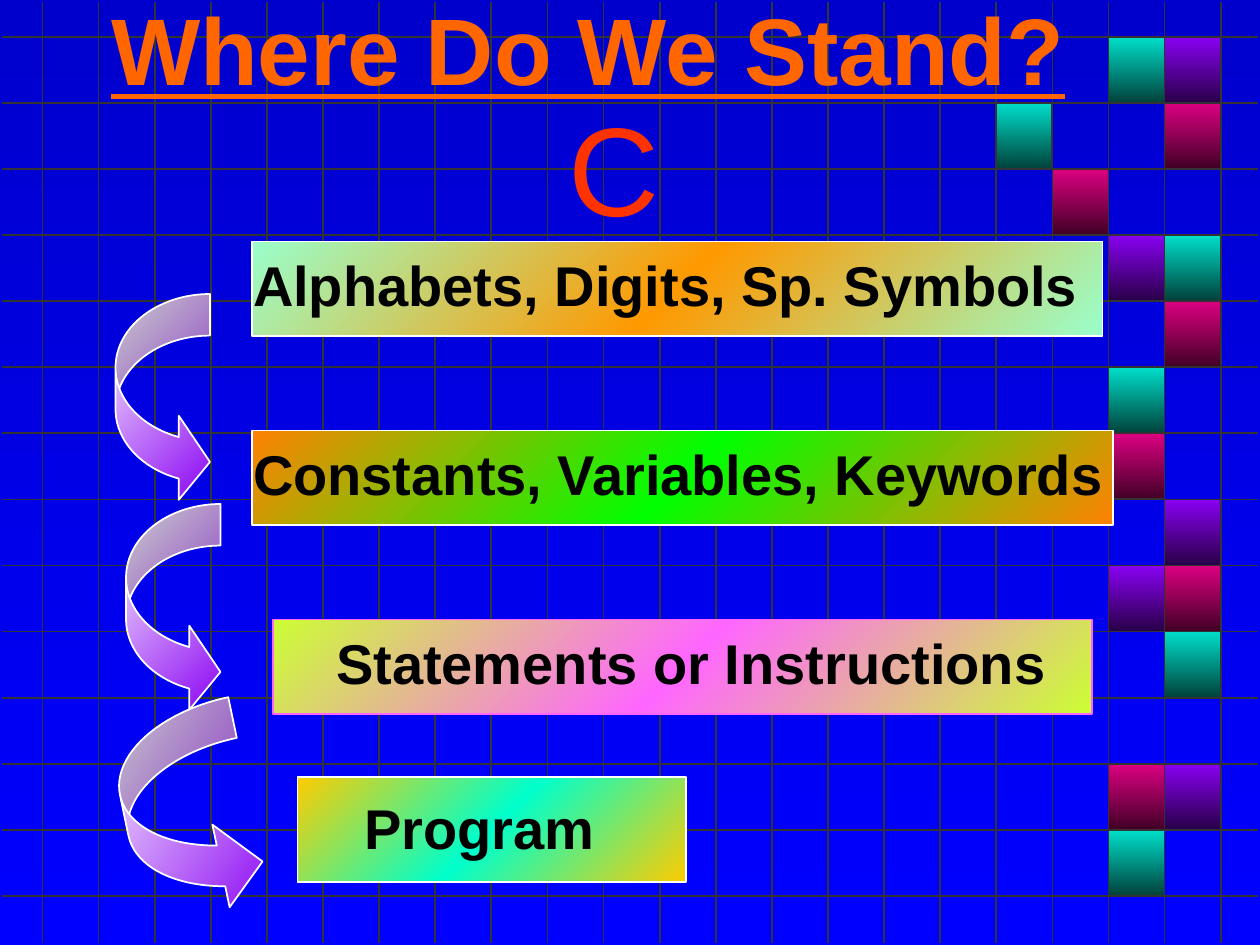
import copy
from dataclasses import dataclass

import pptx
import pptx.dml.color
import pptx.enum.shapes
import pptx.enum.text
import pptx.oxml
import pptx.oxml.ns
import pptx.util

Pt = pptx.util.Pt
SHAPES = pptx.enum.shapes.MSO_SHAPE


@dataclass(frozen=True)
class Theme:
    font: str = "Arial"
    title_size: int = 54
    letter_size: int = 72
    label_size: int = 32
    title: str = "FF6600"
    letter: str = "FF3300"
    label: str = "000000"
    grid: str = "333333"
    outline: str = "FFFFFF"
    pink: str = "FF66FF"
    background: tuple = ("0000CC", "0000FF")
    arrow: tuple = ("8901F3", "FFFFFF")


THEME = Theme()
DOWN, DIAGONAL = 270, 135  # gradient directions, counterclockwise degrees

WIDTH, HEIGHT = 720, 540
GRID_LEFT, GRID_TOP = 24.3, 21
CELL_WIDTH, CELL_HEIGHT = 32.06, 37.77
COLUMNS, ROWS = 22, 14
EDGE = 1

# Colour of the tiles, and the (column, row) cells they fill
TILES = [
    (("00DFCA", "00423B"),
     [(19, 0), (17, 1), (20, 3), (19, 5), (20, 9), (19, 12)]),
    (("DC0081", "410026"),
     [(20, 1), (18, 2), (20, 4), (19, 6), (20, 8), (19, 11)]),
    (("8901F3", "280048"),
     [(20, 0), (19, 3), (20, 7), (19, 8), (20, 11)]),
]

# Label, label place, bar place, bar gradient, bar outline
STAGES = [
    ("Alphabets, Digits, Sp. Symbols", (137.5, 139.7, 486, 46),
     (144, 138, 486, 54), ("99FFCC", "FF9900", "99FFCC"), THEME.outline),
    ("Constants, Variables, Keywords", (137.5, 247.7, 502, 46),
     (144, 246, 492, 54), ("FF8103", "00FF00", "FF8103"), THEME.outline),
    ("Statements or Instructions", (185, 355.7, 420.5, 46),
     (156, 354, 468, 54), ("CCFF33", "FF66FF", "CCFF33"), THEME.pink),
    ("Program", (201, 450, 146, 46),
     (170, 444, 222, 60), ("FFCC00", "00FFCC", "FFCC00"), THEME.outline),
]

# Place, rotation, and (shaft width, head width, head length) of each arrow
ARROWS = [
    ((66, 168, 54, 120), 0, (0.44, 0.89, 0.33)),
    ((72, 288, 54, 120), 0, (0.44, 0.89, 0.33)),
    ((71.5, 404.5, 72, 120), -11.8, (0.33, 0.67, 0.33)),
]


def rgb(value):
    return pptx.dml.color.RGBColor.from_string(value)


def place(left_top_width_height):
    return [Pt(length) for length in left_top_width_height]


def set_gradient(fill, element, colours, angle):
    """Spread the colours evenly; element is the XML that holds the fill."""
    fill.gradient()
    fill.gradient_angle = angle
    stop_list = element.find(".//" + pptx.oxml.ns.qn("a:gsLst"))
    for _ in colours[2:]:
        stop_list.append(copy.deepcopy(stop_list[0]))
    for index, (stop, colour) in enumerate(zip(fill.gradient_stops, colours)):
        stop.position = index / (len(colours) - 1)
        stop.color.rgb = rgb(colour)


def add_gradient_shape(page, kind, box, colours, angle, outline):
    shape = page.shapes.add_shape(kind, *place(box))
    shape.shadow.inherit = False
    set_gradient(shape.fill, shape.element, colours, angle)
    shape.line.color.rgb = rgb(outline)
    shape.line.width = Pt(1)
    return shape


def add_grid_line(page, start, end):
    line = page.shapes.add_connector(
        pptx.enum.shapes.MSO_CONNECTOR.STRAIGHT, *place(start + end))
    line.line.color.rgb = rgb(THEME.grid)
    line.line.width = Pt(1)
    properties = line.element.spPr
    properties.append(pptx.oxml.parse_xml(
        f"<a:effectLst {pptx.oxml.ns.nsdecls('a')}/>"))


def add_text(page, text, box, size, colour, bold=False):
    frame = page.shapes.add_textbox(*place(box)).text_frame
    frame.word_wrap = False
    frame.auto_size = pptx.enum.text.MSO_AUTO_SIZE.SHAPE_TO_FIT_TEXT
    span = frame.paragraphs[0].add_run()
    span.text = text
    span.font.name = THEME.font
    span.font.size = Pt(size)
    span.font.bold = bold
    span.font.color.rgb = rgb(colour)
    return frame


def add_title(page):
    frame = add_text(page, "Where Do We Stand?", (30, -18, 612, 91),
                     THEME.title_size, THEME.title, bold=True)
    frame.word_wrap = True
    frame.auto_size = pptx.enum.text.MSO_AUTO_SIZE.NONE
    frame.vertical_anchor = pptx.enum.text.MSO_ANCHOR.MIDDLE
    para = frame.paragraphs[0]
    para.alignment = pptx.enum.text.PP_ALIGN.CENTER
    para.runs[0].font.underline = True


def add_backdrop(page):
    set_gradient(page.background.fill, page.element, THEME.background, DOWN)
    for row in range(ROWS):
        y = GRID_TOP + row * CELL_HEIGHT
        add_grid_line(page, (EDGE, y), (WIDTH - EDGE, y))
    for column in range(COLUMNS):
        x = GRID_LEFT + column * CELL_WIDTH
        add_grid_line(page, (x, EDGE), (x, HEIGHT - EDGE))
    for colours, cells in TILES:
        for column, row in cells:
            box = (GRID_LEFT + column * CELL_WIDTH,
                   GRID_TOP + row * CELL_HEIGHT, CELL_WIDTH, CELL_HEIGHT)
            add_gradient_shape(page, SHAPES.RECTANGLE, box, colours, DOWN,
                               THEME.grid)


def main():
    deck = pptx.Presentation()
    deck.slide_width, deck.slide_height = Pt(WIDTH), Pt(HEIGHT)
    page = deck.slides.add_slide(deck.slide_layouts[6])
    add_backdrop(page)
    add_title(page)
    for label, label_box, bar_box, colours, outline in STAGES:
        add_gradient_shape(page, SHAPES.RECTANGLE, bar_box, colours, DIAGONAL,
                           outline)
        add_text(page, label, label_box, THEME.label_size, THEME.label,
                 bold=True)
    for box, rotation, proportions in ARROWS:
        arrow = add_gradient_shape(page, SHAPES.CURVED_RIGHT_ARROW, box,
                                   THEME.arrow, DIAGONAL, THEME.outline)
        arrow.rotation = rotation
        for index, proportion in enumerate(proportions):
            arrow.adjustments[index] = proportion
    add_text(page, "C", (318, 48, 66, 94), THEME.letter_size, THEME.letter)
    deck.save("out.pptx")


if __name__ == "__main__":
    main()
